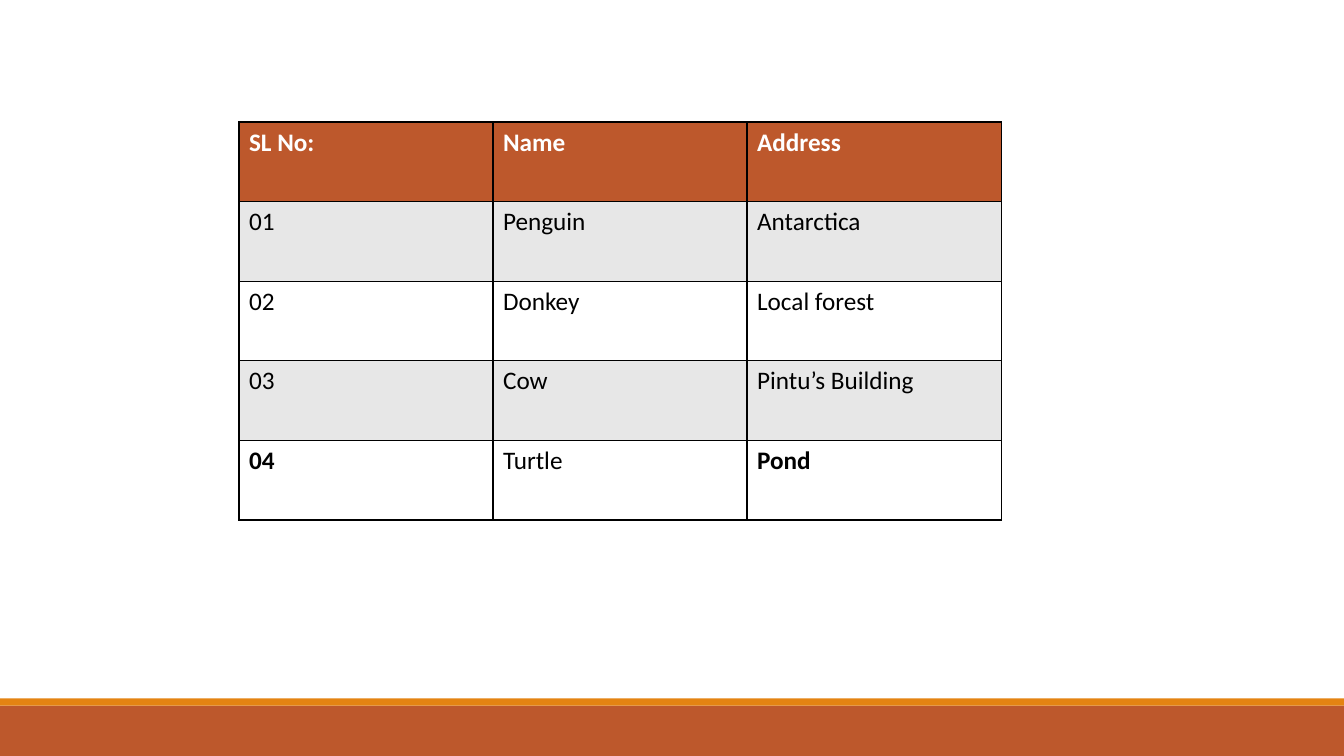
import pptx
import pptx.dml.color
import pptx.enum.shapes
import pptx.enum.text
import pptx.oxml
import pptx.oxml.ns
import pptx.util
from pptx.util import Inches

# Content
HEADER = ("SL No:", "Name", "Address")
ANIMALS = [
    ("01", "Penguin", "Antarctica"),
    ("02", "Donkey", "Local forest"),
    ("03", "Cow", "Pintu’s Building"),
    ("04", "Turtle", "Pond"),
]
BOLD_ENTRIES = {*HEADER, "04", "Pond"}

COLORS = {
    "rust": "BD582C",
    "orange": "E48312",
    "band": "E7E7E7",
    "white": "FFFFFF",
    "black": "000000",
}
FONT = "Calibri"
SLIDE_WIDTH, SLIDE_HEIGHT = 13.33, 7.5
TABLE_LEFT, TABLE_TOP = 2.37, 1.21
COLUMN_WIDTH, ROW_HEIGHT = 2.52, 0.79
FOOTER_BARS = [("rust", 7, 0.5), ("orange", 6.93, 0.07)]  # color, top, height


def rgb(name):
    return pptx.dml.color.RGBColor.from_string(COLORS[name])


def write_text(frame, text, color="black", size=18, bold=False):
    para = frame.paragraphs[0]
    para.alignment = pptx.enum.text.PP_ALIGN.JUSTIFY
    span = para.add_run()
    span.text = text
    span.font.name = FONT
    span.font.size = pptx.util.Pt(size)
    span.font.bold = bold
    span.font.color.rgb = rgb(color)


def add_bar(page, color, top, height):
    bar = page.shapes.add_shape(
        pptx.enum.shapes.MSO_SHAPE.RECTANGLE,
        0, Inches(top), Inches(SLIDE_WIDTH), Inches(height))
    bar.shadow.inherit = False
    bar.fill.solid()
    bar.fill.fore_color.rgb = rgb(color)
    bar.line.fill.background()


def add_borders(cell, color="black", points=1):
    properties = cell._tc.get_or_add_tcPr()
    namespace = pptx.oxml.ns.nsdecls("a")
    for position, side in enumerate(("lnL", "lnR", "lnT", "lnB")):
        border = pptx.oxml.parse_xml(
            f'<a:{side} {namespace} w="{pptx.util.Pt(points)}"><a:solidFill>'
            f'<a:srgbClr val="{COLORS[color]}"/></a:solidFill></a:{side}>')
        properties.insert(position, border)


def add_animal_table(page):
    rows = [HEADER, *ANIMALS]
    table = page.shapes.add_table(
        len(rows), len(HEADER), Inches(TABLE_LEFT), Inches(TABLE_TOP),
        Inches(COLUMN_WIDTH * len(HEADER)), Inches(ROW_HEIGHT * len(rows))).table
    for column in table.columns:
        column.width = Inches(COLUMN_WIDTH)
    for index, entries in enumerate(rows):
        table.rows[index].height = Inches(ROW_HEIGHT)
        is_header = index == 0
        fill = "rust" if is_header else "band" if index % 2 else "white"
        for position, entry in enumerate(entries):
            cell = table.cell(index, position)
            cell.fill.solid()
            cell.fill.fore_color.rgb = rgb(fill)
            add_borders(cell)
            write_text(cell.text_frame, entry, bold=entry in BOLD_ENTRIES,
                       color="white" if is_header else "black")


def main():
    deck = pptx.Presentation()
    deck.slide_width = Inches(SLIDE_WIDTH)
    deck.slide_height = Inches(SLIDE_HEIGHT)
    page = deck.slides.add_slide(deck.slide_layouts[6])

    # Footer bars
    for color, top, height in FOOTER_BARS:
        add_bar(page, color, top, height)

    # Table of animals
    add_animal_table(page)

    deck.save("out.pptx")


if __name__ == "__main__":
    main()
